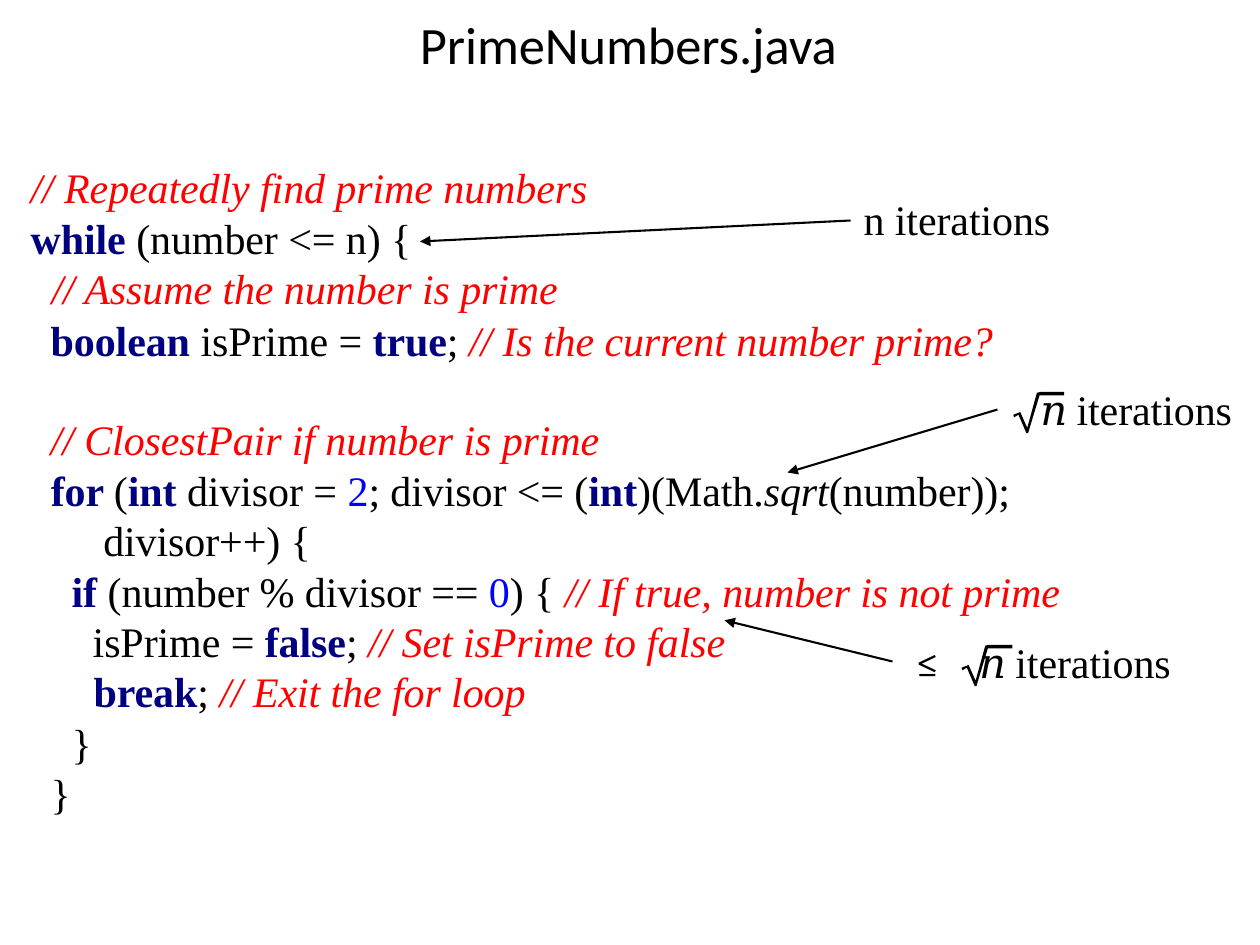
from pptx import Presentation
from pptx.dml.color import RGBColor
from pptx.enum.shapes import MSO_CONNECTOR
from pptx.enum.text import MSO_ANCHOR, MSO_AUTO_SIZE, PP_ALIGN
from pptx.oxml.ns import qn
from pptx.util import Pt
from lxml.etree import SubElement

HUES = {"ink": "000000", "note": "FF0000", "key": "000080", "digit": "0000FF"}
SERIF = "Times New Roman"

# Formats for the kinds of code token
PLAIN = {}
NOTE = {"hue": "note", "italic": True}
KEY = {"hue": "key", "bold": True}
DIGIT = {"hue": "digit"}
CALL = {"italic": True}
MATH = {"font": "Cambria", "track": 0}

# Code blocks: box, line height, lines of (left, first-line indent, tokens)
CODE = [
    ((16.5, 91.5, 322, 88.5), None, [
        (1, 0, [("// Repeatedly find prime numbers", NOTE)]),
        (1, 0, [("while ", KEY), ("(number <= n) {", PLAIN)]),
        (13, 0, [("// Assume the number is prime", NOTE)])]),
    ((28, 178.5, 543, 31), None, [
        (1, 0, [("boolean ", KEY), ("isPrime = ", PLAIN), ("true", KEY),
                ("; ", PLAIN), ("// Is the current number prime?", NOTE)])]),
    ((28, 235.5, 553, 88.5), None, [
        (1, 0, [("// ClosestPair if number is prime", NOTE)]),
        (31, -30, [("for ", KEY), ("(", PLAIN), ("int ", KEY),
                   ("divisor = ", PLAIN), ("2", DIGIT),
                   ("; divisor <= (", PLAIN), ("int", KEY),
                   (")(Math.", PLAIN), ("sqrt", CALL),
                   ("(number)); divisor++) {", PLAIN)])]),
    ((40, 322.5, 570, 59), 28.4, [
        (1, 0, [("if ", KEY), ("(number % divisor == ", PLAIN), ("0", DIGIT),
                (") { ", PLAIN),
                ("// If true, number is not prime", NOTE)]),
        (13, 0, [("isPrime = ", PLAIN), ("false", KEY), ("; ", PLAIN),
                 ("// Set isPrime to false", NOTE)])]),
    ((52.5, 379.5, 250, 31), None, [
        (1, 0, [("break", KEY), ("; ", PLAIN),
                ("// Exit the for loop", NOTE)])]),
    ((28, 409, 25, 60), None, [
        (13, 0, [("}", PLAIN)]),
        (1, 0, [("}", PLAIN)])]),
]

# Remarks on cost: box, tab stop, tokens
COSTS = [
    ((492.5, 109.5, 112, 31), None, [("n iterations", PLAIN)]),
    ((593.5, 218, 113, 31), None, [("𝑛 ", MATH), ("iterations", PLAIN)]),
    ((522.5, 363, 150, 31), 41, [("≤\t𝑛 ", MATH), ("iterations", PLAIN)]),
]

# Arrows run from a remark to its line of code
ARROWS = [(486, 126, 240, 138), (570, 234, 450, 270), (510, 378, 414, 354.5)]

# Radical sign, relative to its top left corner
ROOT = [(29, 0), (15.5, 0), (13.5, 0.5), (8, 20.5), (4, 11.5), (0, 13),
        (0.5, 14.5), (3, 13), (7.5, 23.5), (8.5, 23.5), (15, 2), (29, 2)]
ROOTS = [(579, 224), (549.5, 368.5)]


def add_text(para, text, font=SERIF, size=24, hue="ink", bold=False,
             italic=False, track=-5):
    run = para.add_run()
    run.text = text
    face = run.font
    face.name, face.size = font, Pt(size)
    face.bold, face.italic = bold, italic
    face.color.rgb = RGBColor.from_string(HUES[hue])
    run._r.get_or_add_rPr().set("spc", str(track))


def set_frame(frame):
    frame.word_wrap = True
    frame.auto_size = MSO_AUTO_SIZE.NONE
    frame.vertical_anchor = MSO_ANCHOR.TOP
    frame.margin_left = frame.margin_right = frame.margin_bottom = 0
    frame.margin_top = Pt(1)


def add_box(slide, box, lines, pitch=None, tab=None):
    frame = slide.shapes.add_textbox(*map(Pt, box)).text_frame
    set_frame(frame)
    for row, (left, indent, tokens) in enumerate(lines):
        para = frame.add_paragraph() if row else frame.paragraphs[0]
        para.space_before = Pt(0 if row else 1)
        if pitch:
            para.line_spacing = Pt(pitch)
        props = para._p.get_or_add_pPr()
        props.set("marL", str(Pt(left)))
        props.set("indent", str(Pt(indent)))
        if tab:
            stops = SubElement(props, qn("a:tabLst"))
            SubElement(stops, qn("a:tab"), pos=str(Pt(tab)), algn="l")
        for text, form in tokens:
            add_text(para, text, **form)


def add_arrow(slide, ends):
    arrow = slide.shapes.add_connector(MSO_CONNECTOR.STRAIGHT, *map(Pt, ends))
    arrow.line.width = Pt(1.2)
    arrow.line.color.rgb = RGBColor.from_string(HUES["ink"])
    SubElement(arrow.line._get_or_add_ln(), qn("a:tailEnd"),
               type="triangle", w="med", len="med")
    SubElement(arrow._element.spPr, qn("a:effectLst"))


def add_root(slide, left, top):
    dots = [(Pt(left + x), Pt(top + y)) for x, y in ROOT]
    pen = slide.shapes.build_freeform(*dots[0])
    pen.add_line_segments(dots[1:], close=True)
    root = pen.convert_to_shape()
    root.shadow.inherit = False
    root.fill.solid()
    root.fill.fore_color.rgb = RGBColor.from_string(HUES["ink"])
    root.line.fill.background()


def set_title(slide, text):
    title = slide.shapes.title
    title.left, title.top, title.width, title.height = map(
        Pt, (239, 6, 241, 38))
    set_frame(title.text_frame)
    para = title.text_frame.paragraphs[0]
    para.alignment = PP_ALIGN.LEFT
    para.space_before = Pt(1)
    para._p.get_or_add_pPr().set("marL", str(Pt(1)))
    add_text(para, text, font="Calibri", size=30)


def main():
    deck = Presentation()
    deck.slide_width, deck.slide_height = Pt(720), Pt(540)
    slide = deck.slides.add_slide(deck.slide_layouts[5])
    set_title(slide, "PrimeNumbers.java")
    for box, pitch, lines in CODE:
        add_box(slide, box, lines, pitch=pitch)
    for box, tab, tokens in COSTS:
        add_box(slide, box, [(1, 0, tokens)], tab=tab)
    for ends in ARROWS:
        add_arrow(slide, ends)
    for spot in ROOTS:
        add_root(slide, *spot)
    deck.save("out.pptx")


if __name__ == "__main__":
    main()
